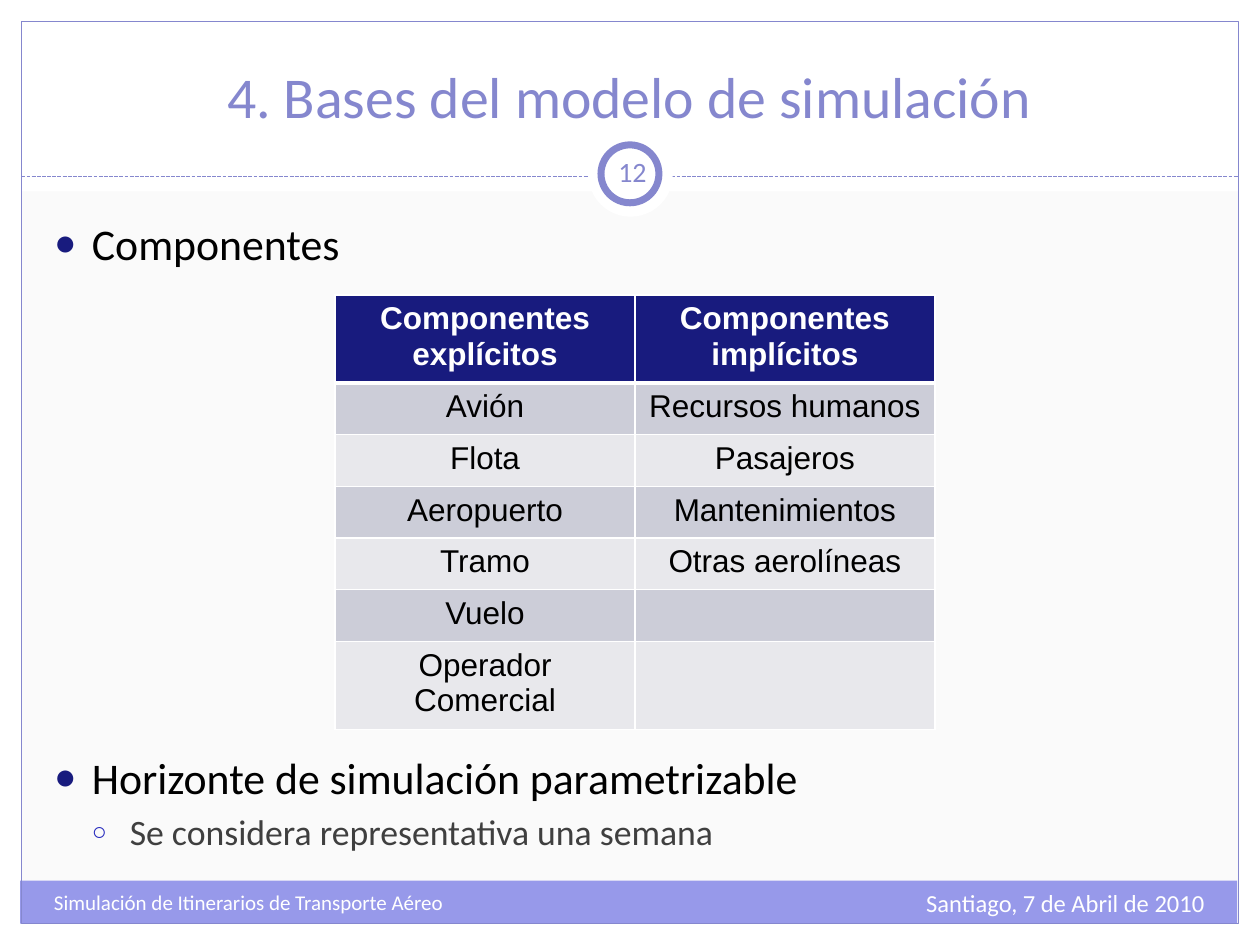
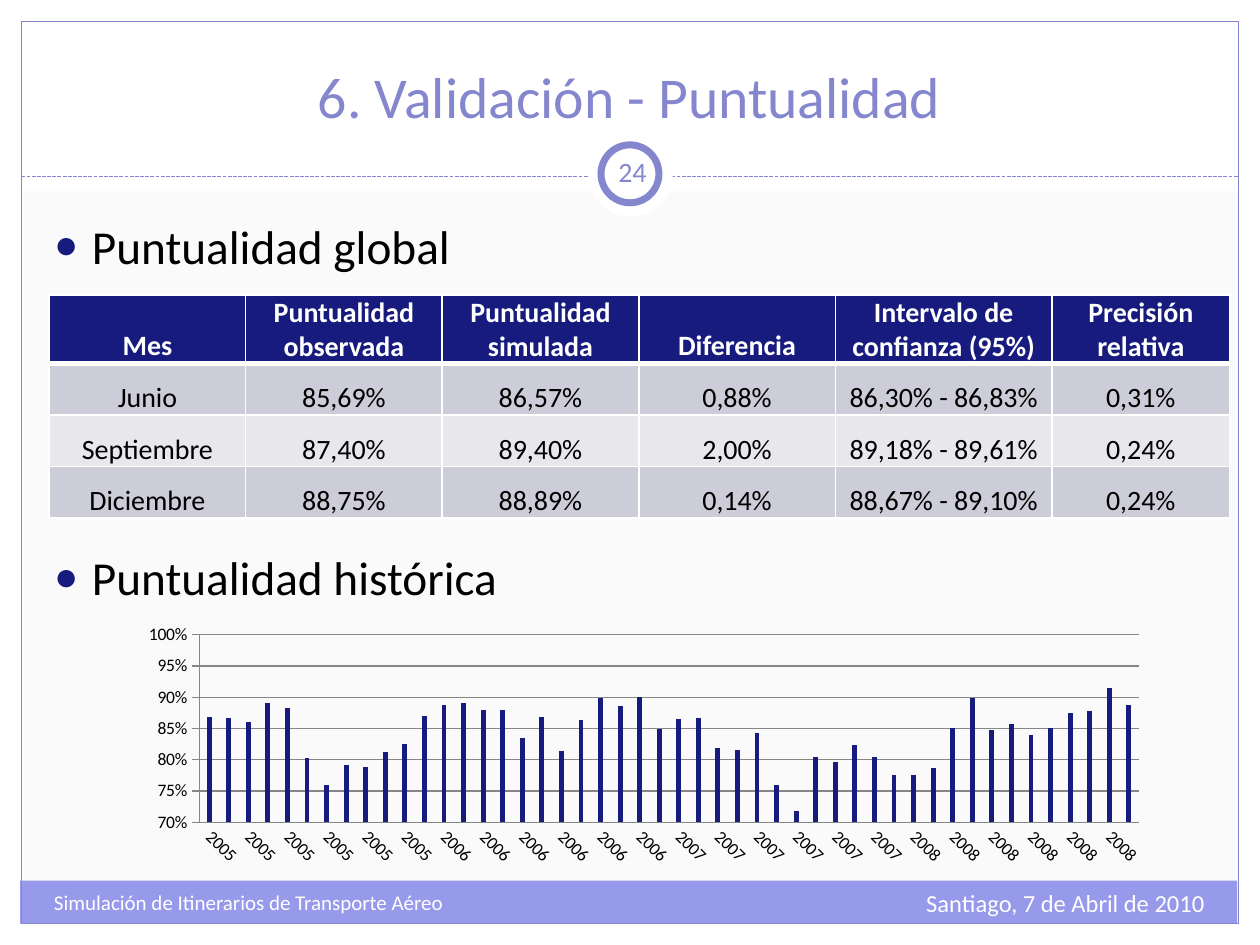
from dataclasses import dataclass

from lxml.etree import SubElement
from pptx import Presentation
from pptx.chart.data import CategoryChartData
from pptx.dml.color import RGBColor
from pptx.enum.chart import XL_CHART_TYPE, XL_TICK_MARK
from pptx.enum.dml import MSO_LINE
from pptx.enum.shapes import MSO_CONNECTOR, MSO_SHAPE
from pptx.enum.text import MSO_ANCHOR, MSO_AUTO_SIZE, PP_ALIGN
from pptx.oxml.ns import qn
from pptx.util import Inches, Pt

# Content
DATE_TEXT = "Santiago, 7 de Abril de 2010"
FOOTER_TEXT = "Simulación de Itinerarios de Transporte Aéreo"

COMPONENTS = {
    "title": "4. Bases del modelo de simulación",
    "number": "12",
    # text, level, size, points of space before
    "bullets": [
        ("Componentes", 0, 25, None),
        ("Horizonte de simulación parametrizable", 0, 25, 275),
        ("Se considera representativa una semana", 1, 20.4, None),
    ],
    "rows": [
        ("Componentes explícitos", "Componentes implícitos"),
        ("Avión", "Recursos humanos"),
        ("Flota", "Pasajeros"),
        ("Aeropuerto", "Mantenimientos"),
        ("Tramo", "Otras aerolíneas"),
        ("Vuelo", ""),
        ("Operador Comercial", ""),
    ],
}

PUNCTUALITY = {
    "title": "6. Validación - Puntualidad",
    "number": "24",
    "bullets": [
        ("Puntualidad global", 0, 27, None),
        ("Puntualidad histórica", 0, 27, 157),
    ],
    "rows": [
        ("Mes", "Puntualidad observada", "Puntualidad simulada", "Diferencia",
         "Intervalo de confianza (95%)", "Precisión relativa"),
        ("Junio", "85,69%", "86,57%", "0,88%", "86,30% - 86,83%", "0,31%"),
        ("Septiembre", "87,40%", "89,40%", "2,00%", "89,18% - 89,61%", "0,24%"),
        ("Diciembre", "88,75%", "88,89%", "0,14%", "88,67% - 89,10%", "0,24%"),
    ],
}

# Twelve monthly values per year
MONTHLY_PUNCTUALITY = {
    "2005": (0.868, 0.866, 0.86, 0.89, 0.882, 0.803,
             0.76, 0.791, 0.789, 0.813, 0.825, 0.87),
    "2006": (0.887, 0.891, 0.88, 0.879, 0.834, 0.868,
             0.814, 0.863, 0.898, 0.886, 0.9, 0.849),
    "2007": (0.865, 0.866, 0.819, 0.815, 0.842, 0.76,
             0.718, 0.804, 0.796, 0.824, 0.805, 0.776),
    "2008": (0.775, 0.786, 0.85, 0.899, 0.847, 0.857,
             0.839, 0.85, 0.874, 0.878, 0.914, 0.887),
}


@dataclass(frozen=True)
class Theme:
    background: str = "FAFAFA"
    white: str = "FFFFFF"
    black: str = "000000"
    accent: str = "8587CE"
    footer: str = "9799EA"
    navy: str = "181B7E"
    blue: str = "2529BD"
    gray: str = "3F3F3F"
    axis: str = "868686"
    row_fills: tuple = ("E8E8EC", "CCCDD8")
    font: str = "Calibri"
    table_font: str = "Arial"
    title_size: float = 33
    number_size: float = 16
    date_size: float = 14
    footer_size: float = 12
    chart_size: float = 10


THEME = Theme()

# Bullet per level: character, colour, size percent, text colour
BULLETS = [
    ("●", THEME.navy, 85, THEME.black),
    ("○", THEME.blue, 70, THEME.gray),
]


def rgb(color):
    return RGBColor.from_string(color)


def box(*lengths):
    return [Inches(length) for length in lengths]


# Text
def write(paragraph, text, *, size, color, font=THEME.font, bold=False,
          align=PP_ALIGN.LEFT):
    paragraph.alignment = align
    run = paragraph.add_run()
    run.text = text
    run.font.size = Pt(size)
    run.font.name = font
    run.font.bold = bold
    run.font.color.rgb = rgb(color)


def add_text_box(slide, position, text, margins=None, anchor=MSO_ANCHOR.TOP, **style):
    frame = slide.shapes.add_textbox(*box(*position)).text_frame
    frame.word_wrap = True
    frame.vertical_anchor = anchor
    if margins is not None:
        frame.margin_left = frame.margin_right = Inches(margins)
    write(frame.paragraphs[0], text, **style)


def place(placeholder, position):
    placeholder.left, placeholder.top, placeholder.width, placeholder.height = box(*position)
    placeholder.text_frame.auto_size = MSO_AUTO_SIZE.NONE
    return placeholder.text_frame


def add_bullet(paragraph, level):
    character, color, percent, _ = BULLETS[level]
    properties = paragraph._p.get_or_add_pPr()
    properties.set("marL", str(Inches(0.3 * (level + 1))))
    properties.set("indent", str(Inches(-0.3)))
    SubElement(SubElement(properties, qn("a:buClr")), qn("a:srgbClr"), val=color)
    SubElement(properties, qn("a:buSzPct"), val=str(percent * 1000))
    SubElement(properties, qn("a:buFont"), typeface=THEME.table_font)
    SubElement(properties, qn("a:buChar"), char=character)


def fill_body(slide, bullets, height):
    frame = place(slide.placeholders[1], (0.33, 1.67, 9.3, height))
    for index, (text, level, size, space_before) in enumerate(bullets):
        paragraph = frame.add_paragraph() if index else frame.paragraphs[0]
        paragraph.level = level
        if space_before:
            paragraph.space_before = Pt(space_before)
        write(paragraph, text, size=size, color=BULLETS[level][3])
        add_bullet(paragraph, level)


# Shared frame, kept on the layout
def add_panel(slide, position, fill=None, line=None, width=0.75, kind=MSO_SHAPE.RECTANGLE):
    shape = slide.shapes.add_shape(kind, *box(*position))
    shape.shadow.inherit = False
    if fill:
        shape.fill.solid()
        shape.fill.fore_color.rgb = rgb(fill)
    else:
        shape.fill.background()
    if line:
        shape.line.color.rgb = rgb(line)
        shape.line.width = Pt(width)
    else:
        shape.line.fill.background()
    return shape


def add_divider(slide):
    divider = slide.shapes.add_connector(MSO_CONNECTOR.STRAIGHT, *box(0.17, 1.4, 9.83, 1.4))
    divider.line.color.rgb = rgb(THEME.accent)
    divider.line.width = Pt(0.75)
    divider.line.dash_style = MSO_LINE.SQUARE_DOT
    SubElement(divider.element.spPr, qn("a:effectLst"))
    return divider


def build_layout(layout, slide):
    """Draw the frame with the slide's tools, then hand it to the layout."""
    layout.background.fill.solid()
    layout.background.fill.fore_color.rgb = rgb(THEME.background)
    for placeholder in list(layout.placeholders)[2:]:
        layout.shapes.element.remove(placeholder.element)
    margins = [(0, 7.33, 10, 0.17), (0, 0, 10, 1.52), (0, 0, 0.17, 7.5), (9.83, 0, 0.17, 7.5)]
    frame = [add_panel(slide, margin, THEME.white) for margin in margins]
    frame += [
        add_panel(slide, (0.16, 6.99, 9.66, 0.34), THEME.footer),
        add_panel(slide, (0.17, 0.17, 9.66, 7.16), line=THEME.accent),
        add_divider(slide),
        add_panel(slide, (4.67, 1.05, 0.67, 0.67), THEME.white, kind=MSO_SHAPE.OVAL),
        add_panel(slide, (4.77, 1.15, 0.46, 0.46), THEME.white, THEME.accent, 4, MSO_SHAPE.OVAL),
    ]
    for index, shape in enumerate(frame):
        layout.shapes.element.insert(2 + index, shape.element)


def add_headings(slide, content):
    frame = place(slide.shapes.title, (0.33, 0.25, 9.33, 0.83))
    frame.vertical_anchor = MSO_ANCHOR.BOTTOM
    write(frame.paragraphs[0], content["title"], size=THEME.title_size,
          color=THEME.accent, align=PP_ALIGN.CENTER)
    add_text_box(slide, (6.33, 7, 3.33, 0.4), DATE_TEXT, size=THEME.date_size,
                 color=THEME.white, align=PP_ALIGN.RIGHT)
    add_text_box(slide, (0.33, 7.01, 3.92, 0.4), FOOTER_TEXT,
                 size=THEME.footer_size, color=THEME.white)
    add_text_box(slide, (4.77, 1.12, 0.5, 0.48), content["number"], margins=0.05,
                 anchor=MSO_ANCHOR.MIDDLE, size=THEME.number_size,
                 color=THEME.accent, align=PP_ALIGN.CENTER)


# Tables
def set_borders(cell, **widths):
    properties = cell._tc.get_or_add_tcPr()
    for index, side in enumerate("LRTB"):
        border = SubElement(properties, qn(f"a:ln{side}"), w=str(Pt(widths.get(side, 1))))
        SubElement(SubElement(border, qn("a:solidFill")), qn("a:srgbClr"), val=THEME.white)
        properties.insert(index, border)


def add_grid(slide, rows, left, column_widths, *, size, font, tight=False):
    row_height = 0.41
    position = box(left, 2.34, sum(column_widths), row_height * len(rows))
    table = slide.shapes.add_table(len(rows), len(column_widths), *position).table
    for column, width in zip(table.columns, column_widths):
        column.width = Inches(width)
    for row_index, texts in enumerate(rows):
        header = row_index == 0
        for column_index, text in enumerate(texts):
            cell = table.cell(row_index, column_index)
            cell.fill.solid()
            cell.fill.fore_color.rgb = rgb(THEME.navy if header else THEME.row_fills[row_index % 2])
            set_borders(cell, B=3 if header else 1, T=3 if row_index == 1 else 1)
            if tight:
                cell.vertical_anchor = MSO_ANCHOR.BOTTOM
                cell.margin_left = cell.margin_right = cell.margin_top = Inches(0.01)
                cell.margin_bottom = 0
            if text:
                write(cell.text_frame.paragraphs[0], text, size=size, font=font, bold=header,
                      color=THEME.white if header else THEME.black, align=PP_ALIGN.CENTER)


# Chart
def add_history_chart(slide):
    data = CategoryChartData(number_format="0%")
    data.categories = [year for year, values in MONTHLY_PUNCTUALITY.items() for _ in values]
    data.add_series("Puntualidad", [v for values in MONTHLY_PUNCTUALITY.values() for v in values])
    chart = slide.shapes.add_chart(
        XL_CHART_TYPE.COLUMN_CLUSTERED, *box(1.02, 4.92, 8.2, 1.99), data).chart
    chart.has_legend = False
    chart.has_title = False
    chart.font.size = Pt(THEME.chart_size)
    chart.font.name = THEME.font
    chart.font.color.rgb = rgb(THEME.black)

    plot = chart.plots[0]
    plot.gap_width = 300
    plot.vary_by_categories = False
    bars = plot.series[0].format.fill
    bars.solid()
    bars.fore_color.rgb = rgb(THEME.navy)

    value_axis, category_axis = chart.value_axis, chart.category_axis
    value_axis.minimum_scale, value_axis.maximum_scale = 0.7, 1
    value_axis.major_unit = 0.05
    value_axis.major_tick_mark = XL_TICK_MARK.CROSS
    value_axis.tick_labels.number_format = "0%"
    value_axis.tick_labels.number_format_is_linked = False
    category_axis.major_tick_mark = XL_TICK_MARK.NONE
    for line in (value_axis.format.line, category_axis.format.line,
                 value_axis.major_gridlines.format.line):
        line.color.rgb = rgb(THEME.axis)
        line.width = Pt(0.75)

    # Slanted year labels, one for every second month
    category_axis.tick_labels.font.size = Pt(THEME.chart_size)
    axis = chart.element.find(".//" + qn("c:catAx"))
    axis.find(qn("c:txPr")).find(qn("a:bodyPr")).set("rot", str(45 * 60000))
    skip = SubElement(axis, qn("c:tickLblSkip"), val="2")
    axis.find(qn("c:lblOffset")).addnext(skip)


def main():
    presentation = Presentation()
    presentation.slide_width, presentation.slide_height = box(10, 7.5)
    layout = presentation.slide_layouts[1]

    # Model components
    slide = presentation.slides.add_slide(layout)
    build_layout(layout, slide)
    add_headings(slide, COMPONENTS)
    fill_body(slide, COMPONENTS["bullets"], 5.28)
    add_grid(slide, COMPONENTS["rows"], 2.66, [2.38] * 2, size=18, font=THEME.table_font)

    # Punctuality validation
    slide = presentation.slides.add_slide(layout)
    add_headings(slide, PUNCTUALITY)
    fill_body(slide, PUNCTUALITY["bullets"], 5)
    add_grid(slide, PUNCTUALITY["rows"], 0.39, [1.56] * 4 + [1.72, 1.41],
             size=16, font=THEME.font, tight=True)
    add_history_chart(slide)

    presentation.save("out.pptx")


if __name__ == "__main__":
    main()
